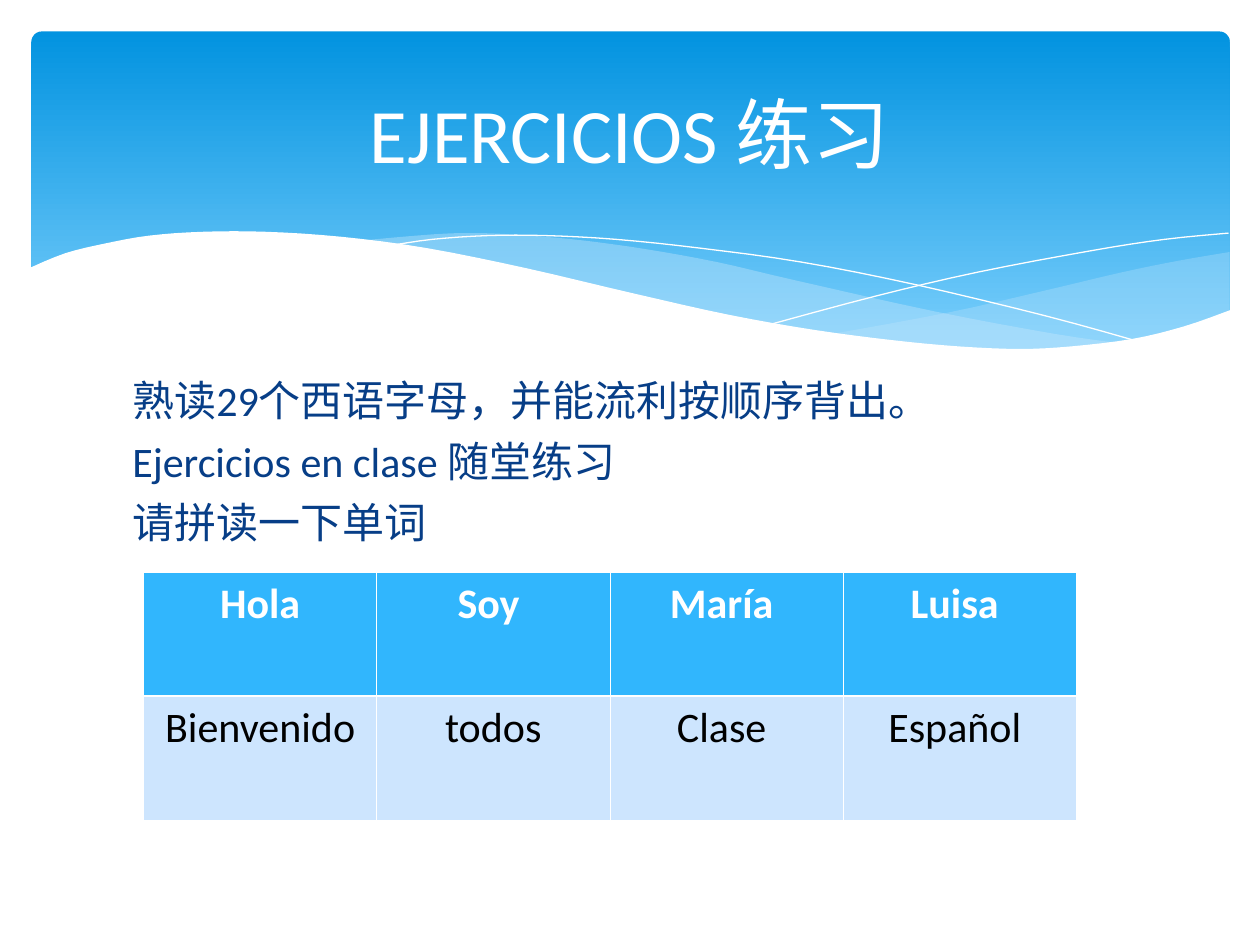
import pptx
import pptx.dml.color
import pptx.enum.shapes
import pptx.enum.text
import pptx.oxml
import pptx.oxml.ns
import pptx.util
from lxml import etree
from pptx.util import Inches, Pt

FONT = "Calibri"
COLORS = {
    "white": "FFFFFF", "black": "000000", "navy": "073E87",
    "sky_top": "0293E0", "sky_bottom": "83D3FE", "mist": "C6E7FC",
    "header": "31B6FD", "row": "CDE5FE",
}

# Wave outlines in inches: each list holds the knots of one smooth curve
RIGHT_TOP = [(9.76, 2), (9.35, 2.07), (8.91, 2.16), (8.32, 2.3), (7.53, 2.48), (6.61, 2.65)]
RIGHT_BOTTOM = [(6.61, 2.65), (7.05, 2.71), (7.57, 2.76), (8.14, 2.78), (8.63, 2.75),
                (9.05, 2.69), (9.42, 2.59), (9.76, 2.47)]
MIDDLE_TOP = [(8.93, 2.73), (8.37, 2.65), (7.41, 2.47), (6.29, 2.22), (5.69, 2.08),
              (5.14, 1.98), (4.64, 1.91), (4.2, 1.87), (3.8, 1.85), (3.44, 1.86), (2.86, 1.91)]
MIDDLE_BOTTOM = [(2.86, 1.91), (3.42, 1.99), (4.04, 2.11), (4.91, 2.32), (5.66, 2.48),
                 (6.34, 2.61), (6.95, 2.7), (7.48, 2.76), (7.96, 2.79), (8.48, 2.78), (8.93, 2.73)]
FALLING_LINE = [(3.09, 1.95), (3.43, 1.9), (3.87, 1.87), (4.33, 1.87), (4.89, 1.9), (5.56, 1.97),
                (6.36, 2.08), (7.27, 2.26), (8.31, 2.51), (9.07, 2.72)]
RISING_LINE = [(6.13, 2.57), (6.95, 2.35), (7.76, 2.16), (8.66, 1.99), (9.24, 1.9), (9.75, 1.85)]
FRONT_TOP = [(9.77, 2.46), (9.4, 2.59), (8.99, 2.69), (8.5, 2.75), (8.09, 2.77), (7.61, 2.75),
             (7.08, 2.7), (6.47, 2.62), (5.79, 2.5), (5.03, 2.33), (4.18, 2.13), (3.39, 1.97),
             (2.71, 1.88), (2.11, 1.84), (1.61, 1.84), (1.19, 1.87), (0.85, 1.93),
             (0.52, 2.01), (0.23, 2.13)]
FRONT_CORNERS = [(0.23, 3.29), (9.77, 3.29)]

BODY_LINES = ["熟读29个西语字母，并能流利按顺序背出。", "Ejercicios en clase 随堂练习", "请拼读一下单词"]
WORDS = [["Hola", "Soy ", "María ", "Luisa "],
         ["Bienvenido", " todos ", "Clase ", "Español "]]
ROW_STYLES = [{"fill": "header", "color": "white", "bold": True},
              {"fill": "row", "color": "black", "bold": False}]


def rgb(name):
    return pptx.dml.color.RGBColor.from_string(COLORS[name])


def smooth(knots, steps=4):
    """Return points on the Catmull-Rom curve through the knots."""
    padded = [knots[0], *knots, knots[-1]]
    points = [knots[0]]
    for a, b, c, d in zip(padded, padded[1:], padded[2:], padded[3:]):
        for step in range(1, steps + 1):
            t = step / steps
            points.append(tuple(
                (2 * q + (r - p) * t + (2 * p - 5 * q + 4 * r - s) * t ** 2
                 + (3 * q - p - 3 * r + s) * t ** 3) / 2
                for p, q, r, s in zip(a, b, c, d)))
    return points


def add_outline(slide, points, close):
    start, *rest = [(Inches(x), Inches(y)) for x, y in points]
    builder = slide.shapes.build_freeform(*start, scale=1.0)
    builder.add_line_segments(rest, close=close)
    outline = builder.convert_to_shape()
    outline.shadow.inherit = False
    return outline


def add_wave(slide, points, color, opacity=100):
    wave = add_outline(slide, points, close=True)
    wave.fill.solid()
    wave.fill.fore_color.rgb = rgb(color)
    wave.line.fill.background()
    if opacity < 100:
        fill_color = wave.element.spPr.find(".//" + pptx.oxml.ns.qn("a:srgbClr"))
        etree.SubElement(fill_color, pptx.oxml.ns.qn("a:alpha"), val=str(opacity * 1000))


def add_hairline(slide, knots):
    hairline = add_outline(slide, smooth(knots), close=False)
    hairline.fill.background()
    hairline.line.color.rgb = rgb("white")
    hairline.line.width = Pt(0)


def add_sky(slide):
    sky = slide.shapes.add_shape(pptx.enum.shapes.MSO_SHAPE.ROUNDED_RECTANGLE,
                                 Inches(0.25), Inches(0.25), Inches(9.51), Inches(2.7))
    sky.adjustments[0] = 0.03
    sky.shadow.inherit = False
    sky.line.fill.background()
    sky.fill.gradient()
    sky.fill.gradient_angle = 270
    for stop, position, color in zip(sky.fill.gradient_stops, (0, 1), ("sky_top", "sky_bottom")):
        stop.position = position
        stop.color.rgb = rgb(color)


def format_text(paragraph, color, paragraph_format, **font_format):
    for name, value in paragraph_format.items():
        setattr(paragraph, name, value)
    for name, value in {"name": FONT, **font_format}.items():
        setattr(paragraph.font, name, value)
    paragraph.font.color.rgb = rgb(color)


def place(placeholder, left, top, width, height):
    """Move a placeholder to the given inches, in front of everything so far."""
    box = {"left": left, "top": top, "width": width, "height": height}
    for name, value in box.items():
        setattr(placeholder, name, Inches(value))
    placeholder.text_frame.auto_size = pptx.enum.text.MSO_AUTO_SIZE.NONE
    placeholder.element.getparent().append(placeholder.element)


def fill_title(title):
    place(title, 0.5, 0.37, 9, 1.37)
    title.text_frame.text = "EJERCICIOS 练习"
    title.text_frame.vertical_anchor = pptx.enum.text.MSO_ANCHOR.MIDDLE
    format_text(title.text_frame.paragraphs[0], "white",
                {"alignment": pptx.enum.text.PP_ALIGN.CENTER}, size=Pt(44))


def fill_body(body):
    place(body, 0.95, 2.92, 8.1, 3.77)
    body.text_frame.text = "\n".join(BODY_LINES)
    for paragraph in body.text_frame.paragraphs:
        format_text(paragraph, "navy", {"space_before": Pt(6)}, size=Pt(24))
        properties = paragraph._p.get_or_add_pPr()
        properties.set("marL", "0")
        properties.set("indent", "0")
        etree.SubElement(properties, pptx.oxml.ns.qn("a:buNone"))


def set_borders(cell, widths):
    """Draw white borders; widths maps the sides L, R, T, B to points."""
    properties = cell._tc.get_or_add_tcPr()
    for index, (side, width) in enumerate(widths.items()):
        properties.insert(index, pptx.oxml.parse_xml(
            f'<a:ln{side} {pptx.oxml.ns.nsdecls("a")} w="{Pt(width)}"><a:solidFill>'
            f'<a:srgbClr val="{COLORS["white"]}"/></a:solidFill></a:ln{side}>'))


def add_word_table(slide):
    table = slide.shapes.add_table(len(WORDS), len(WORDS[0]), Inches(1.14), Inches(4.54),
                                   Inches(7.4), Inches(1.97)).table
    thin, thick = 0.45, 1.47
    for row, (words, style) in enumerate(zip(WORDS, ROW_STYLES)):
        inner_side = "B" if row == 0 else "T"
        for column, word in enumerate(words):
            cell = table.cell(row, column)
            cell.text = word
            cell.fill.solid()
            cell.fill.fore_color.rgb = rgb(style["fill"])
            format_text(cell.text_frame.paragraphs[0], style["color"],
                        {"alignment": pptx.enum.text.PP_ALIGN.CENTER},
                        size=Pt(24), bold=style["bold"])
            set_borders(cell, {**dict.fromkeys("LRTB", thin), inner_side: thick})


def main():
    deck = pptx.Presentation()
    deck.slide_width, deck.slide_height = Inches(10), Inches(7.5)
    slide = deck.slides.add_slide(deck.slide_layouts[1])
    title, body = slide.placeholders

    add_sky(slide)
    add_wave(slide, smooth(RIGHT_TOP) + smooth(RIGHT_BOTTOM), "mist", 29)
    add_wave(slide, smooth(MIDDLE_TOP) + smooth(MIDDLE_BOTTOM), "mist", 40)
    add_hairline(slide, FALLING_LINE)
    add_hairline(slide, RISING_LINE)
    add_wave(slide, smooth(FRONT_TOP) + FRONT_CORNERS, "white")

    fill_body(body)
    fill_title(title)
    add_word_table(slide)
    deck.save("out.pptx")


if __name__ == "__main__":
    main()
